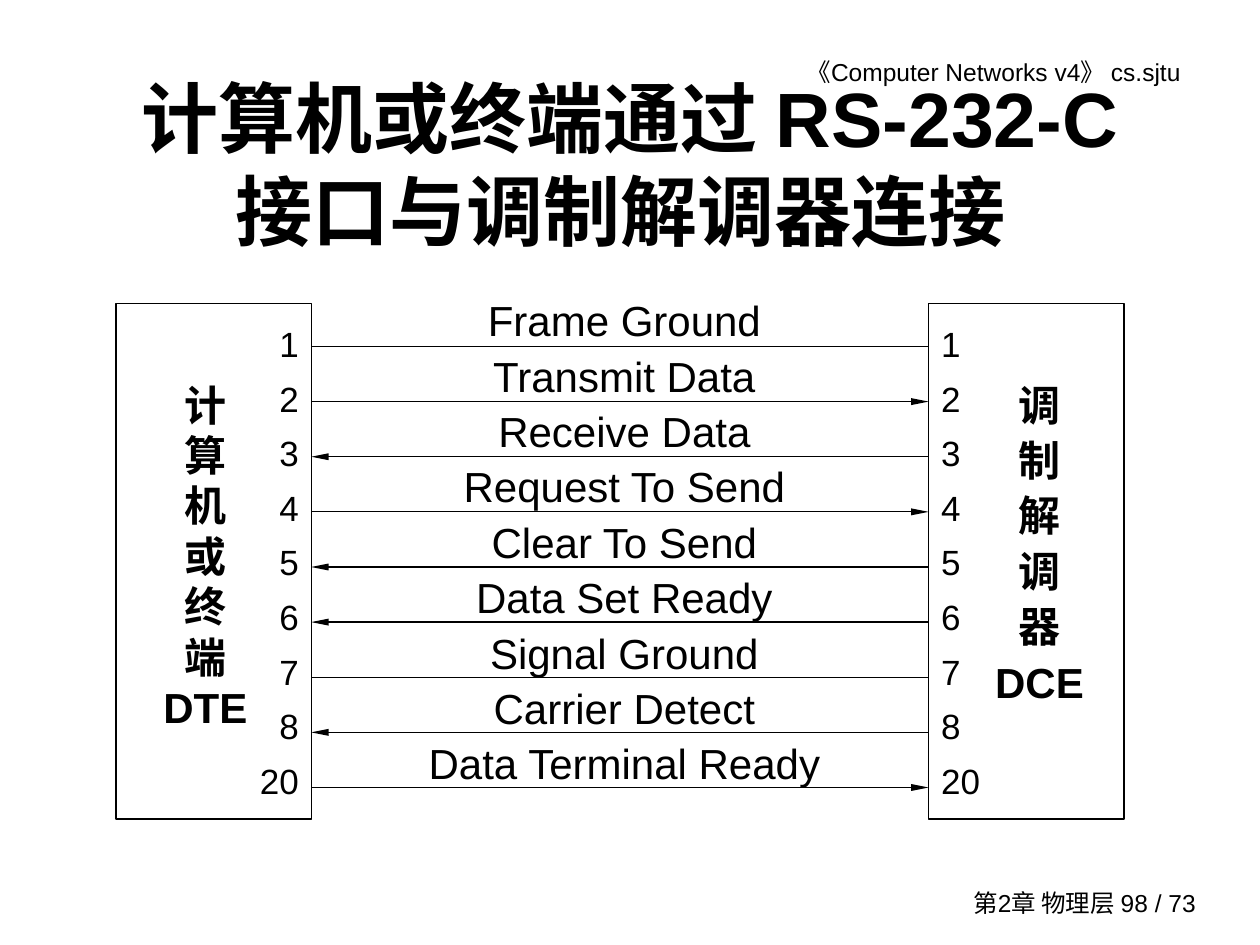
import dataclasses

import lxml.etree
import pptx
import pptx.dml.color
import pptx.enum.shapes
import pptx.enum.text
import pptx.oxml.ns
import pptx.util

Inches = pptx.util.Inches
Pt = pptx.util.Pt
Align = pptx.enum.text.PP_ALIGN
Anchor = pptx.enum.text.MSO_ANCHOR


@dataclasses.dataclass(frozen=True)
class Theme:
    font: str = "Arial"
    ink: pptx.dml.color.RGBColor = pptx.dml.color.RGBColor(0, 0, 0)
    title_size: int = 44
    label_size: int = 24
    pin_size: int = 20
    small_size: int = 14
    line_width: float = 0.75


THEME = Theme()

# Pin number, signal name, direction seen from the terminal
SIGNALS = [
    ("1", "Frame Ground", None),
    ("2", "Transmit Data", "out"),
    ("3", "Receive Data", "in"),
    ("4", "Request To Send", "out"),
    ("5", "Clear To Send", "in"),
    ("6", "Data Set Ready", "in"),
    ("7", "Signal Ground", None),
    ("8", "Carrier Detect", "in"),
    ("20", "Data Terminal Ready", "out"),
]


def write_text(shape, lines, size=THEME.label_size, bold=False, align=Align.CENTER,
               anchor=Anchor.TOP, spacing=1.0, right_inset=0.1):
    """Fill a shape with one paragraph per line, all in one format."""
    frame = shape.text_frame
    frame.word_wrap = True
    frame.auto_size = pptx.enum.text.MSO_AUTO_SIZE.NONE
    frame.vertical_anchor = anchor
    frame.margin_left = Inches(0.1)
    frame.margin_right = Inches(right_inset)
    frame.margin_top = frame.margin_bottom = Inches(0.05)
    for index, line in enumerate(lines):
        paragraph = frame.paragraphs[0] if index == 0 else frame.add_paragraph()
        paragraph.alignment = align
        paragraph.line_spacing = spacing
        paragraph.space_before = paragraph.space_after = Pt(0)
        run = paragraph.add_run()
        run.text = line
        run.font.name = THEME.font
        run.font.size = Pt(size)
        run.font.bold = bold
        run.font.color.rgb = THEME.ink


def add_text(slide, left, top, width, height, lines, **text_format):
    box = slide.shapes.add_textbox(Inches(left), Inches(top), Inches(width), Inches(height))
    write_text(box, lines, **text_format)


def add_signal_line(slide, left, right, y, direction):
    line = slide.shapes.add_connector(
        pptx.enum.shapes.MSO_CONNECTOR.STRAIGHT,
        Inches(left), Inches(y), Inches(right), Inches(y))
    line.line.color.rgb = THEME.ink
    line.line.width = Pt(THEME.line_width)
    if direction:
        end = "a:tailEnd" if direction == "out" else "a:headEnd"
        lxml.etree.SubElement(line.line._get_or_add_ln(), pptx.oxml.ns.qn(end),
                              type="triangle", w="sm", len="lg")
    lxml.etree.SubElement(line._element.spPr, pptx.oxml.ns.qn("a:effectLst"))


def add_header_and_footer(slide, left, top, width, height):
    right = left + width
    add_text(slide, right - 4.31, top, 4.31, 0.34, ["《Computer Networks v4》 cs.sjtu"],
             size=THEME.small_size, align=Align.RIGHT, right_inset=0.22)
    add_text(slide, right - 2.26, top + height - 0.33, 2.26, 0.33, ["第2章 物理层 98 / 73"],
             size=THEME.small_size, align=Align.RIGHT, anchor=Anchor.MIDDLE)


def add_title(slide, left, top, width, height):
    title = slide.shapes.title
    title.left, title.top = Inches(left), Inches(top)
    title.width, title.height = Inches(width), Inches(height)
    write_text(title, ["计算机或终端通过 RS-232-C接口与调制解调器连接 "],
               size=THEME.title_size, bold=True, anchor=Anchor.MIDDLE)


def add_device(slide, left, top, width, height, pin_left, pin_width, pin_align):
    """Outlined device with its column of pin numbers."""
    device = slide.shapes.add_shape(
        pptx.enum.shapes.MSO_SHAPE.RECTANGLE,
        Inches(left), Inches(top), Inches(width), Inches(height))
    device.shadow.inherit = False
    device.fill.background()
    device.line.color.rgb = THEME.ink
    device.line.width = Pt(THEME.line_width)
    add_text(slide, left + pin_left, top, pin_width, height - 0.08,
             [pin for pin, _, _ in SIGNALS],
             size=THEME.pin_size, align=pin_align, spacing=1.3)


def add_interface(slide, left, top, width, height):
    device_width = 1.55
    wire_left = left + device_width
    wire_right = left + width - device_width

    # Terminal and modem
    add_device(slide, left, top, device_width, height, 0.91, 0.64, Align.RIGHT)
    add_device(slide, wire_right, top, device_width, height, 0, 0.82, Align.JUSTIFY)
    add_text(slide, left + 0.25, top + 0.55, 0.92, 2.92,
             [*"计算机或终", "端DTE"], bold=True)
    add_text(slide, wire_right + 0.38, top + 0.51, 1, 2.92,
             [*"调制解调器", "DCE"], bold=True, spacing=1.1)

    # Signal names and evenly spaced lines
    add_text(slide, wire_left + 0.61, top - 0.16, 3.75, 4,
             [name for _, name, _ in SIGNALS], spacing=1.1)
    pitch = 3.5 / (len(SIGNALS) - 1)
    for row, (_, _, direction) in enumerate(SIGNALS):
        add_signal_line(slide, wire_left, wire_right, top + 0.34 + row * pitch, direction)


def main():
    presentation = pptx.Presentation()
    presentation.slide_width = Inches(10)
    presentation.slide_height = Inches(7.5)
    title_only = presentation.slide_layouts.get_by_name("Title Only")
    slide = presentation.slides.add_slide(title_only)
    add_header_and_footer(slide, 0.42, 0.4, 9.17, 6.93)
    add_title(slide, 0.75, 0.67, 8.5, 1.25)
    add_interface(slide, 0.92, 2.41, 8, 4.09)
    presentation.save("out.pptx")


if __name__ == "__main__":
    main()
